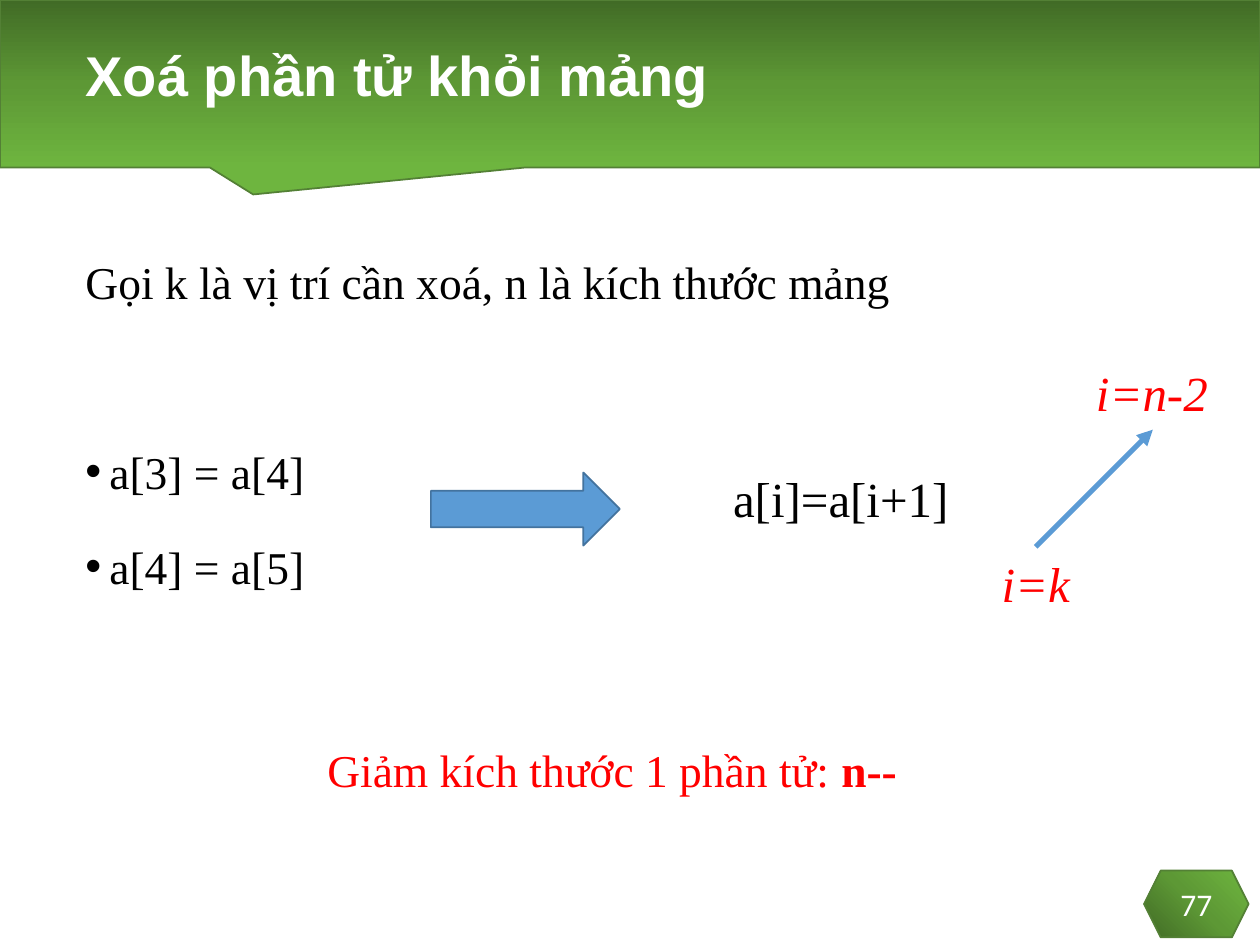
from lxml.etree import SubElement
from pptx import Presentation
from pptx.dml.color import RGBColor
from pptx.enum.shapes import MSO_CONNECTOR, MSO_SHAPE
from pptx.enum.text import MSO_ANCHOR, MSO_AUTO_SIZE, PP_ALIGN
from pptx.oxml.ns import qn
from pptx.util import Inches, Pt

COLORS = {
    "green_dark": "416B26", "green_mid": "5D9835", "green_light": "6EB53F",
    "green_line": "538035", "blue": "5B9BD5", "blue_line": "43739E",
    "white": "FFFFFF", "black": "000000", "red": "FF0000",
}
SERIF = "Times New Roman"


def rgb(name):
    return RGBColor.from_string(COLORS[name])


def add_run(paragraph, text, size, color, font=SERIF, bold=False, italic=False):
    run = paragraph.add_run()
    run.text = text
    run.font.name = font
    run.font.size = Pt(size)
    run.font.bold = bold
    run.font.italic = italic
    run.font.color.rgb = rgb(color)


def add_figure(slide, kind, box, line):
    figure = slide.shapes.add_shape(kind, *map(Inches, box))
    figure.shadow.inherit = False
    figure.line.color.rgb = rgb(line)
    figure.line.width = Pt(1)
    return figure


def fill_green(figure, radial=False):
    figure.fill.gradient()
    gradient = figure._element.spPr.find(qn("a:gradFill"))
    for child in list(gradient):
        gradient.remove(child)
    stops = SubElement(gradient, qn("a:gsLst"))
    for position, name in enumerate(("green_dark", "green_mid", "green_light")):
        stop = SubElement(stops, qn("a:gs"), pos=str(position * 50000))
        SubElement(stop, qn("a:srgbClr"), val=COLORS[name])
    if radial:
        circle = SubElement(gradient, qn("a:path"), path="circle")
        SubElement(circle, qn("a:fillToRect"), t="100000", r="100000")
    else:
        SubElement(gradient, qn("a:lin"), ang="5400000", scaled="0")


def add_header(slide, box):
    left, top, width, height = box
    band = add_figure(slide, MSO_SHAPE.RECTANGULAR_CALLOUT, box, "green_line")
    band.adjustments[0] = -0.299
    band.adjustments[1] = 0.661
    fill_green(band)
    title = slide.shapes.title
    title._element.addprevious(band._element)
    title.left, title.top = Inches(left + 0.58), Inches(top + 0.08)
    title.width, title.height = Inches(width - 1.17), Inches(height - 0.25)
    title.text_frame.vertical_anchor = MSO_ANCHOR.MIDDLE
    heading = title.text_frame.paragraphs[0]
    heading.alignment = PP_ALIGN.LEFT
    heading.line_spacing = 0.9
    add_run(heading, "Xoá phần tử khỏi mảng", 32, "white", "Arial", bold=True)


def add_page_number(slide, box):
    badge = add_figure(slide, MSO_SHAPE.HEXAGON, box, "green_line")
    fill_green(badge, radial=True)
    badge.text_frame.vertical_anchor = MSO_ANCHOR.MIDDLE
    number = badge.text_frame.paragraphs[0]
    number.alignment = PP_ALIGN.CENTER
    add_run(number, "77", 18, "white", "Calibri")


def add_steps(slide, box):
    frame = slide.shapes.add_textbox(*map(Inches, box)).text_frame
    frame.word_wrap = True
    steps = (
        ("Gọi k là vị trí cần xoá, n là kích thước mảng", 7.5, False),
        ("a[3] = a[4]", 61.8, True),
        ("a[4] = a[5]", 7.5, True),
    )
    for index, (text, gap, bulleted) in enumerate(steps):
        step = frame.add_paragraph() if index else frame.paragraphs[0]
        step.line_spacing = 1.5
        step.space_before = Pt(gap)
        if bulleted:
            properties = step._p.get_or_add_pPr()
            properties.set("marL", str(Inches(0.19)))
            properties.set("indent", str(-Inches(0.19)))
            SubElement(properties, qn("a:buFont"), typeface="Arial")
            SubElement(properties, qn("a:buChar"), char="•")
        add_run(step, text, 26, "black")


def add_label(slide, box, text, size, color, italic=False, bold_end=""):
    frame = slide.shapes.add_textbox(*map(Inches, box)).text_frame
    frame.word_wrap = False
    frame.auto_size = MSO_AUTO_SIZE.SHAPE_TO_FIT_TEXT
    label = frame.paragraphs[0]
    add_run(label, text, size, color, italic=italic)
    if bold_end:
        add_run(label, bold_end, size, color, bold=True)


def add_loop(slide, box):
    left, top, width, height = box
    implies = add_figure(slide, MSO_SHAPE.RIGHT_ARROW,
                         (left, top + 0.92, 1.5, 0.58), "blue_line")
    implies.fill.solid()
    implies.fill.fore_color.rgb = rgb("blue")
    add_label(slide, (left + 2.3, top + 0.84, 1.93, 0.57), "a[i]=a[i+1]", 28, "black")

    start_x, start_y = left + 4.8, top + 1.51
    rise = 0.93
    direction = slide.shapes.add_connector(
        MSO_CONNECTOR.STRAIGHT, Inches(start_x), Inches(start_y),
        Inches(start_x + rise), Inches(start_y - rise))
    direction.line.color.rgb = rgb("blue")
    direction.line.width = Pt(3)
    SubElement(direction.line._get_or_add_ln(), qn("a:tailEnd"), type="triangle")
    SubElement(direction._element.spPr, qn("a:effectLst"))

    add_label(slide, (left + 4.43, top + height - 0.57, 0.75, 0.57),
              "i=k", 28, "red", italic=True)
    add_label(slide, (left + width - 1.1, top, 1.1, 0.57),
              "i=n-2", 28, "red", italic=True)


def main():
    deck = Presentation()
    deck.slide_width, deck.slide_height = Inches(10), Inches(7.5)
    slide = deck.slides.add_slide(deck.slide_layouts[5])
    add_header(slide, (0, 0, 10, 1.33))
    add_page_number(slide, (9.08, 6.91, 0.83, 0.53))
    add_steps(slide, (0.58, 1.75, 8.83, 3.33))
    add_loop(slide, (3.42, 2.83, 6.28, 2.08))
    add_label(slide, (2.5, 5.84, 4.76, 0.54),
              "Giảm kích thước 1 phần tử: ", 26, "red", bold_end="n--")
    deck.save("out.pptx")


if __name__ == "__main__":
    main()
